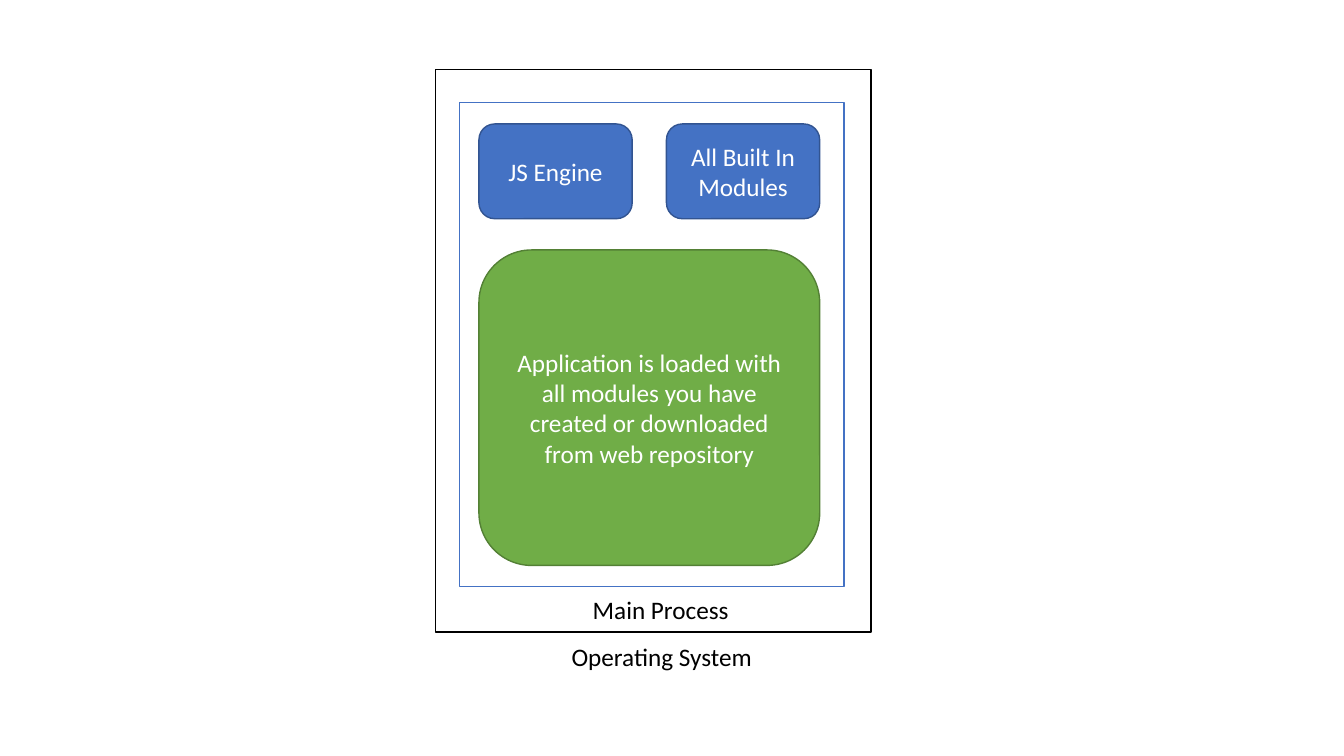
from dataclasses import dataclass

from pptx import Presentation
from pptx.dml.color import RGBColor
from pptx.enum.shapes import MSO_SHAPE
from pptx.enum.text import MSO_ANCHOR, MSO_AUTO_SIZE, PP_ALIGN
from pptx.util import Inches, Pt

RECTANGLE = MSO_SHAPE.RECTANGLE
ROUNDED = MSO_SHAPE.ROUNDED_RECTANGLE
MIDDLE = MSO_ANCHOR.MIDDLE
CENTER = PP_ALIGN.CENTER
FIT_SHAPE = MSO_AUTO_SIZE.SHAPE_TO_FIT_TEXT
BLANK_LAYOUT = 6


@dataclass(frozen=True)
class Theme:
    font: str = "Calibri"
    text_size: Pt = Pt(18)
    line_width: Pt = Pt(1)
    white: RGBColor = RGBColor.from_string("FFFFFF")
    black: RGBColor = RGBColor.from_string("000000")
    blue: RGBColor = RGBColor.from_string("4472C4")
    dark_blue: RGBColor = RGBColor.from_string("325491")
    green: RGBColor = RGBColor.from_string("70AD47")
    dark_green: RGBColor = RGBColor.from_string("538035")


THEME = Theme()


def write_text(text_frame, text, color, alignment=None):
    paragraph = text_frame.paragraphs[0]
    paragraph.text = text
    paragraph.alignment = alignment
    paragraph.font.name = THEME.font
    paragraph.font.size = THEME.text_size
    paragraph.font.color.rgb = color


def add_box(slide, kind, left, top, width, height, fill, line):
    box = slide.shapes.add_shape(
        kind, Inches(left), Inches(top), Inches(width), Inches(height))
    box.shadow.inherit = False
    box.fill.solid()
    box.fill.fore_color.rgb = fill
    box.line.color.rgb = line
    box.line.width = THEME.line_width
    return box


def add_frame(slide, left, top, width, height, line):
    """Add a white rectangle that encloses other parts."""
    add_box(slide, RECTANGLE, left, top, width, height, THEME.white, line)


def add_component(slide, text, left, top, width, height, fill, line):
    """Add a rounded box with a centred white label."""
    box = add_box(slide, ROUNDED, left, top, width, height, fill, line)
    box.text_frame.word_wrap = True
    box.text_frame.vertical_anchor = MIDDLE
    write_text(box.text_frame, text, THEME.white, CENTER)


def add_caption(slide, text, left, top, width):
    caption = slide.shapes.add_textbox(
        Inches(left), Inches(top), Inches(width), Inches(0.4))
    caption.text_frame.word_wrap = False
    caption.text_frame.auto_size = FIT_SHAPE
    write_text(caption.text_frame, text, THEME.black)


def main():
    presentation = Presentation()
    presentation.slide_width = Inches(13.33)
    presentation.slide_height = Inches(7.5)
    slide = presentation.slides.add_slide(
        presentation.slide_layouts[BLANK_LAYOUT])

    add_frame(slide, 4.32, 0.69, 4.32, 5.58, THEME.black)
    add_caption(slide, "Operating System", 5.57, 6.31, 2.01)
    add_frame(slide, 4.56, 1.02, 3.81, 4.8, THEME.blue)
    add_caption(slide, "Main Process", 5.78, 5.85, 1.59)

    left, width, engine_width = 4.75, 3.38, 1.52
    engine_parts = (
        ("JS Engine", left),
        ("All Built In Modules", left + width - engine_width),
    )
    for text, part_left in engine_parts:
        add_component(slide, text, part_left, 1.23, engine_width, 0.94,
                      THEME.blue, THEME.dark_blue)
    add_component(
        slide,
        "Application is loaded with all modules you have created "
        "or downloaded from web repository",
        left, 2.48, width, 3.13, THEME.green, THEME.dark_green)

    presentation.save("out.pptx")


if __name__ == "__main__":
    main()
